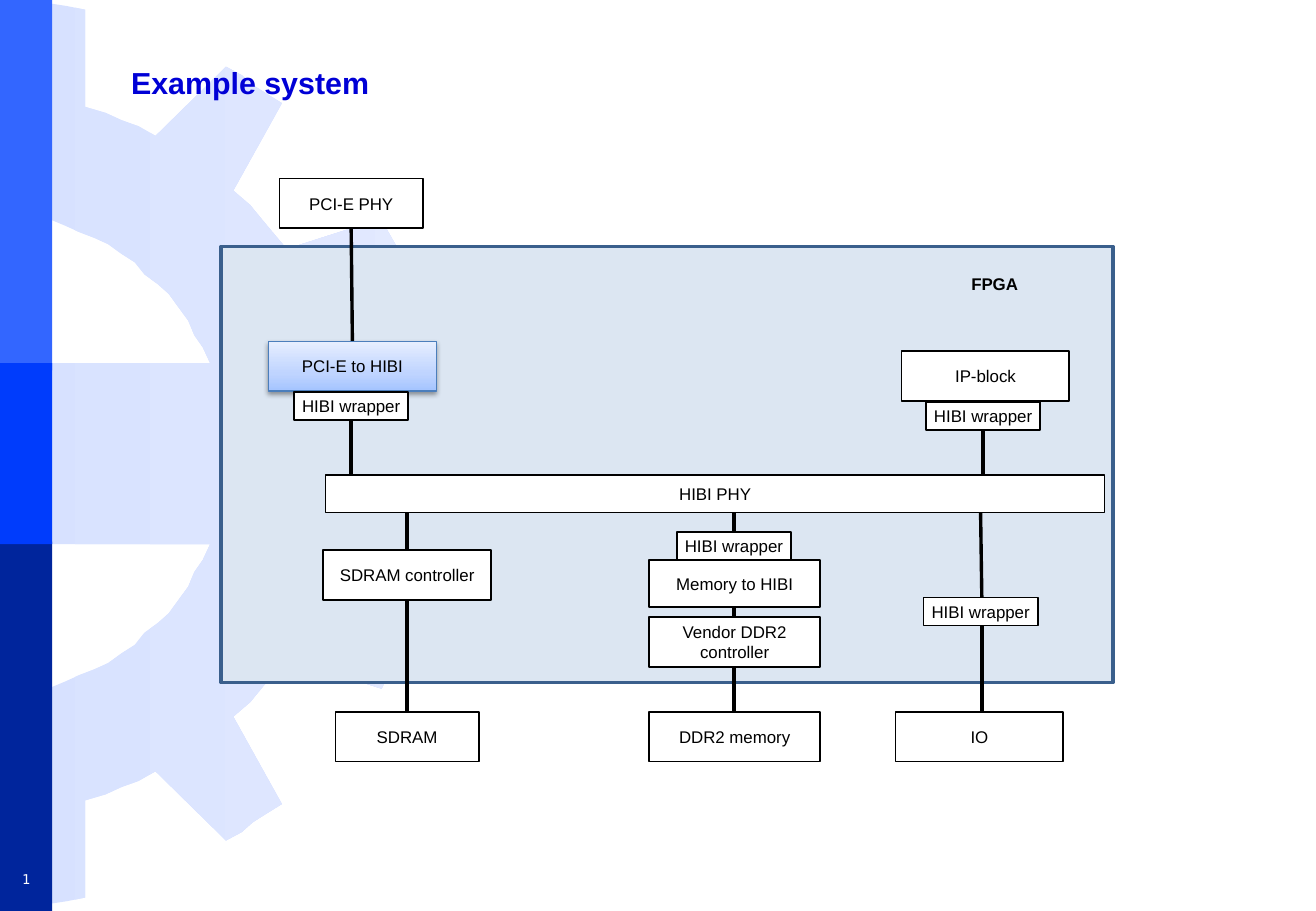
"""Builds the "Example system" FPGA block diagram slide."""
import copy
from lxml import etree
from pptx import Presentation, util as u
from pptx.dml.color import RGBColor
from pptx.enum import shapes, text
from pptx.oxml.ns import qn

C = {
    "black": "000000", "white": "FFFFFF", "title": "0000D6",
    "bar_top": "3366FF", "bar_mid": "003CFC", "bar_low": "00259C",
    "fpga": "DCE6F2", "fpga_line": "3A5F8C", "bridge_line": "4B7EBC",
    "gear_left": "D7E1FF", "gear_right": "E3EAFF",
    "bridge_low": "A4C4FF", "bridge_mid": "BFD4FF", "bridge_top": "E6EEFF",
}
rgb = {name: RGBColor.from_string(value) for name, value in C.items()}


def add_box(x, y, w, h, fill=None, line=None, pt=1):
    """Add a rectangle with optional fill and outline."""
    sp = s.shapes.add_shape(shapes.MSO_SHAPE.RECTANGLE,
                            u.Inches(x), u.Inches(y), u.Inches(w), u.Inches(h))
    sp.shadow.inherit = False
    if fill:
        sp.fill.solid()
        sp.fill.fore_color.rgb = rgb[fill]
    if line:
        sp.line.color.rgb = rgb[line]
        sp.line.width = u.Pt(pt)
    else:
        sp.line.fill.background()
    return sp


def add_text(sp, words, size=10, color="black", bold=False, font="Arial",
             align=text.PP_ALIGN.CENTER, tight=False):
    """Put one run of middle-anchored text in a shape."""
    tf = sp.text_frame
    tf.word_wrap = not tight
    tf.vertical_anchor = text.MSO_ANCHOR.MIDDLE
    if tight:
        tf.margin_left = tf.margin_right = tf.margin_top = tf.margin_bottom = 0
    p = tf.paragraphs[0]
    p.alignment = align
    r = p.add_run()
    r.text = words
    r.font.size = u.Pt(size)
    r.font.name = font
    r.font.bold = bold
    r.font.color.rgb = rgb[color]


prs = Presentation()
prs.slide_width, prs.slide_height = u.Inches(10.83), u.Inches(7.5)
s = prs.slides.add_slide(prs.slide_layouts[6])

gear_top = [
    (0, 299), (173, 299), (167, 286), (160, 276), (155, 264), (147, 253),
    (139, 242), (130, 234), (119, 226), (111, 216), (100, 209), (89, 201),
    (78, 196), (65, 191), (54, 186), (42, 181), (28, 180), (14, 176),
    (14, 0), (29, 1), (42, 3), (55, 5), (70, 8), (70, 88), (87, 93),
    (100, 99), (114, 104), (128, 112), (186, 55), (199, 62), (208, 70),
    (219, 77), (232, 85), (192, 157), (206, 169), (215, 180), (225, 192),
    (236, 205), (314, 180), (320, 192), (327, 204), (333, 214), (338, 227),
    (273, 273), (275, 291), (281, 305), (283, 320), (286, 334), (367, 347),
    (370, 359), (370, 373),
]
gear = gear_top + [(x, 747 - y) for x, y in reversed(gear_top)]
fb = s.shapes.build_freeform(*gear[0], scale=u.Inches(0.01))
fb.add_line_segments(gear[1:], close=True)
sp = fb.convert_to_shape()
sp.shadow.inherit = False
sp.line.fill.background()
sp.fill.gradient()
sp.fill.gradient_angle = 0
for stop, color in zip(sp.fill.gradient_stops, ("gear_left", "gear_right")):
    stop.color.rgb = rgb[color]

for y, h, color in [(0, 3.05, "bar_top"), (4.46, 3.04, "bar_low"),
                    (2.99, 1.49, "bar_mid")]:
    add_box(0, y, 0.43, h, color)
add_box(1.82, 2.03, 7.34, 3.59, "fpga", "fpga_line", 2)

labels = [
    ((0.98, 0.21, 9.39, 0.94), "Example system",
     dict(size=18, color="title", bold=True, align=text.PP_ALIGN.LEFT)),
    ((7.21, 2.03, 1.95, 0.61), "FPGA", dict(bold=True)),
    ((0, 7.11, 0.43, 0.26), "1",
     dict(size=8, color="white", font="DejaVu Sans Mono")),
]
for place, words, style in labels:
    add_text(s.shapes.add_textbox(*map(u.Inches, place)), words, **style)

links = [
    (2.89, 1.88, 2.9, 2.81), (2.89, 3.46, 2.89, 3.99),
    (3.35, 4.22, 3.35, 4.53), (3.35, 4.94, 3.35, 5.86),
    (6.04, 4.22, 6.04, 4.38), (6.04, 5, 6.04, 5.08), (6.04, 5.49, 6.04, 5.86),
    (8.09, 3.54, 8.09, 3.99), (8.07, 4.22, 8.08, 4.92), (8.08, 5.15, 8.08, 5.86),
]
for ends in links:
    cx = s.shapes.add_connector(shapes.MSO_CONNECTOR.STRAIGHT, *map(u.Inches, ends))
    cx.line.color.rgb = rgb["black"]
    cx.line.width = u.Pt(2)
    etree.SubElement(cx._element.spPr, qn("a:effectLst"))

bridge = add_box(2.21, 2.81, 1.38, 0.41, line="bridge_line", pt=0.75)
add_text(bridge, "PCI-E to HIBI")
bridge.fill.gradient()
bridge.fill.gradient_angle = 90
stops = bridge._element.spPr.find(qn("a:gradFill")).find(qn("a:gsLst"))
stops.insert(1, copy.deepcopy(stops[0]))
for stop, position, color in zip(bridge.fill.gradient_stops, (0, 0.35, 1),
                                 ("bridge_low", "bridge_mid", "bridge_top")):
    stop.position = position
    stop.color.rgb = rgb[color]
effects = bridge._element.spPr.find(qn("a:effectLst"))
shadow = etree.SubElement(effects, qn("a:outerShdw"), blurRad=str(u.Pt(3.1)),
                          dist=str(u.Pt(1.6)), dir="5400000", rotWithShape="0")
tint = etree.SubElement(shadow, qn("a:srgbClr"), val=C["black"])
etree.SubElement(tint, qn("a:alpha"), val="38000")

blocks = [
    (2.3, 1.47, 1.18, 0.41, "PCI-E PHY"),
    (2.66, 4.53, 1.38, 0.41, "SDRAM controller"),
    (2.76, 5.86, 1.18, 0.41, "SDRAM"),
    (7.42, 2.89, 1.38, 0.41, "IP-block"),
    (7.37, 5.86, 1.38, 0.41, "IO"),
    (5.34, 5.86, 1.41, 0.41, "DDR2 memory"),
    (5.34, 5.08, 1.41, 0.41, "Vendor DDR2 controller"),
    (5.34, 4.61, 1.41, 0.39, "Memory to HIBI"),
    (2.68, 3.91, 6.41, 0.31, "HIBI PHY"),
]
for *place, words in blocks:
    add_text(add_box(*place, "white", "black"), words)

for x, y in [(2.42, 3.23), (7.6, 4.92), (7.62, 3.31), (5.57, 4.38)]:
    add_text(add_box(x, y, 0.94, 0.23, "white", "black"), "HIBI wrapper", tight=True)

prs.save("out.pptx")
